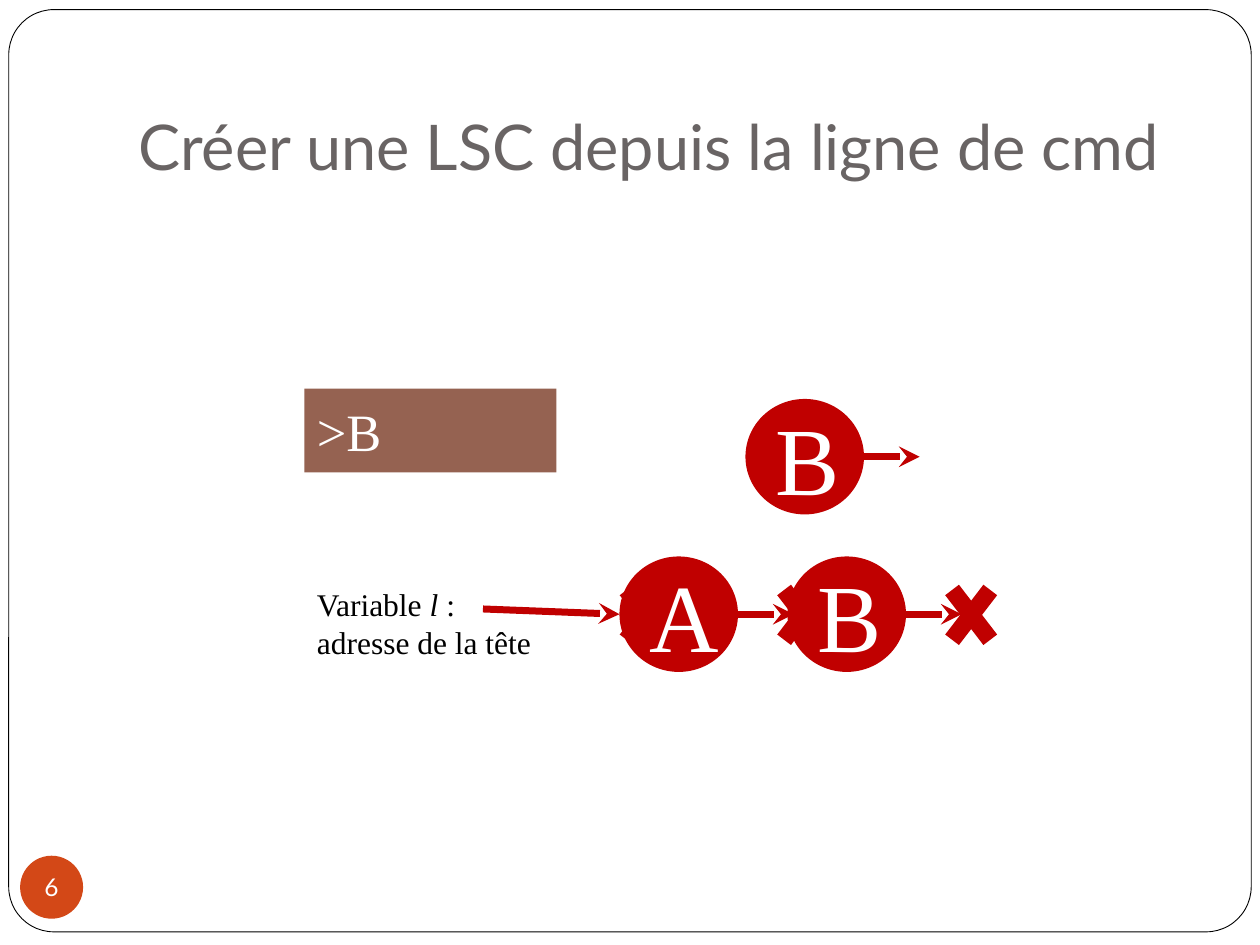
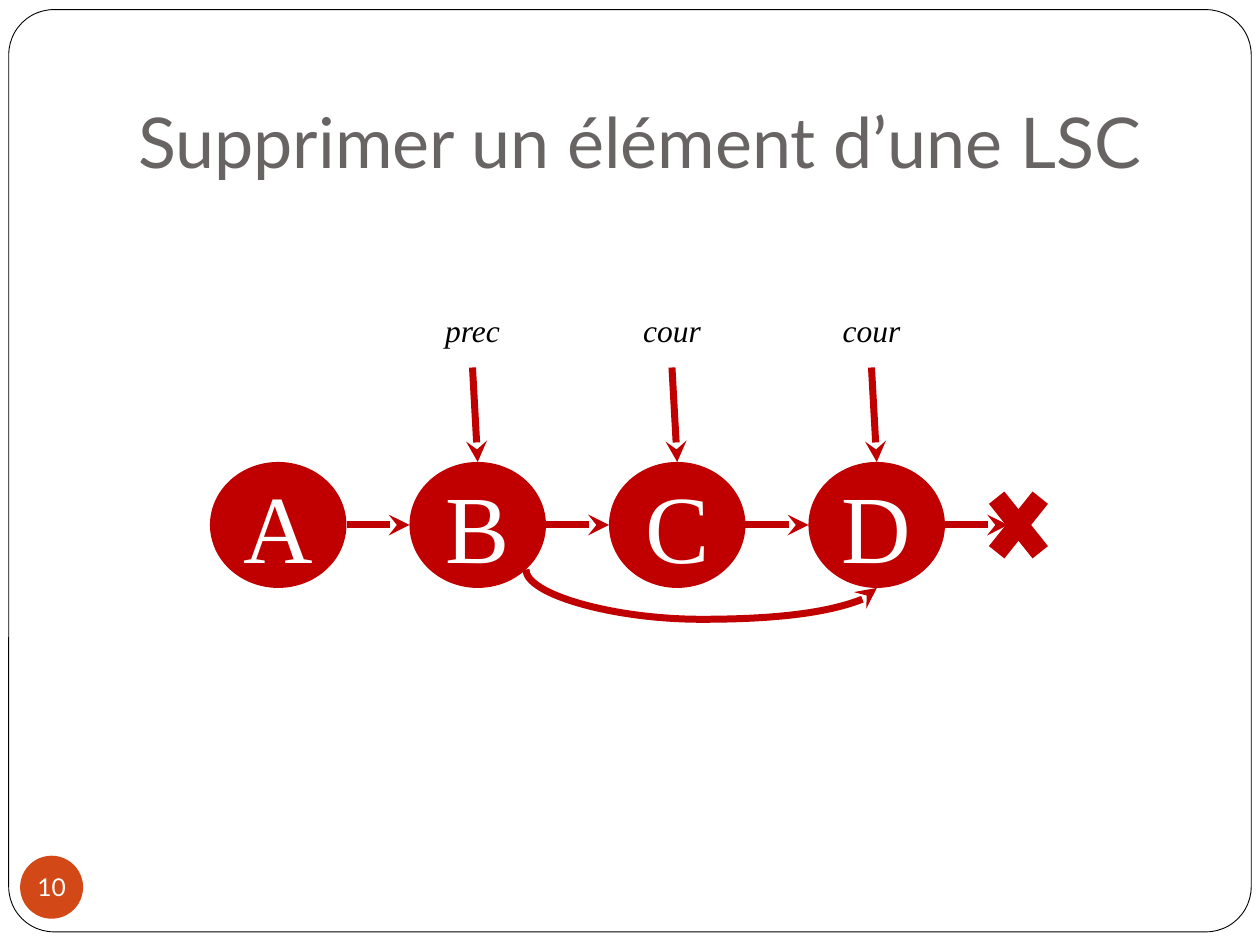
from lxml import etree
from pptx import Presentation
from pptx.dml.color import RGBColor
from pptx.enum.shapes import MSO_CONNECTOR, MSO_SHAPE
from pptx.enum.text import MSO_ANCHOR, MSO_AUTO_SIZE, PP_ALIGN
from pptx.oxml.ns import qn
from pptx.util import Pt

WHITE = RGBColor(0xFF, 0xFF, 0xFF)
BLACK = RGBColor(0x00, 0x00, 0x00)
RED = RGBColor(0xC0, 0x00, 0x00)
BROWN = RGBColor(0x95, 0x62, 0x51)
ORANGE = RGBColor(0xD3, 0x48, 0x17)
GREY = RGBColor(0x69, 0x64, 0x64)

TITLE_FONT = "Lato"
BODY_FONT = "Times New Roman"
STRAIGHT, CURVE = MSO_CONNECTOR.STRAIGHT, MSO_CONNECTOR.CURVE
RECTANGLE, ROUNDED = MSO_SHAPE.RECTANGLE, MSO_SHAPE.ROUNDED_RECTANGLE
OVAL, MULTIPLY = MSO_SHAPE.OVAL, MSO_SHAPE.MATH_MULTIPLY
MIDDLE, BOTTOM = MSO_ANCHOR.MIDDLE, MSO_ANCHOR.BOTTOM
LEFT, CENTER = PP_ALIGN.LEFT, PP_ALIGN.CENTER
FIT_SHAPE = MSO_AUTO_SIZE.SHAPE_TO_FIT_TEXT


def style_text(frame, size, font, color, align=LEFT, italic=False):
    """Give every paragraph and run of a frame the same look."""
    for para in frame.paragraphs:
        para.alignment = align
        for span in para.runs:
            span.font.size = Pt(size)
            span.font.name = font
            span.font.color.rgb = color
            span.font.italic = italic


def add_block(page, kind, left, top, width, height, fill):
    """Add a filled preset shape without outline or shadow."""
    block = page.shapes.add_shape(kind, Pt(left), Pt(top), Pt(width), Pt(height))
    block.shadow.inherit = False
    block.fill.solid()
    block.fill.fore_color.rgb = fill
    block.line.fill.background()
    return block


def write_inside(block, text, size, font, align=CENTER):
    """Write white text in the middle of a shape."""
    frame = block.text_frame
    frame.text = text
    frame.vertical_anchor = MIDDLE
    style_text(frame, size, font, WHITE, align)


def add_text(page, left, top, width, height, text):
    """Add an empty-styled wrapping text box and return its frame."""
    box = page.shapes.add_textbox(Pt(left), Pt(top), Pt(width), Pt(height))
    frame = box.text_frame
    frame.word_wrap = True
    frame.text = text
    return frame


def add_arrow(page, start, end, kind=STRAIGHT):
    """Add a red connector with a stealth head at its end."""
    x1, y1, x2, y2 = (Pt(value) for value in (*start, *end))
    arrow = page.shapes.add_connector(kind, x1, y1, x2, y2)
    arrow.line.width = Pt(4)
    arrow.line.color.rgb = RED
    outline = arrow.line._get_or_add_ln()
    etree.SubElement(outline, qn("a:tailEnd"), type="stealth")
    etree.SubElement(arrow._element.spPr, qn("a:effectLst"))
    return arrow


def add_bypass(page, start, end, bulge):
    """Add a curve that leaves downwards and returns upwards to its end."""
    (x1, y1), (x2, y2) = start, end
    middle_x, middle_y = (x1 + x2) / 2, (y1 + y2) / 2
    half_width, half_height = (y2 - y1) / 2, (x2 - x1) / 2
    curve = add_arrow(
        page,
        (middle_x + half_width, middle_y - half_height),
        (middle_x - half_width, middle_y + half_height),
        CURVE,
    )
    properties = curve._element.spPr
    properties.find(qn("a:xfrm")).set("rot", str(270 * 60000))
    guides = properties.find(qn("a:prstGeom")).get_or_add_avLst()
    etree.SubElement(guides, qn("a:gd"), name="adj1",
                     fmla=f"val {round(bulge * 100000)}")


def add_node(page, letter, left, top, width, height, reach, kind=STRAIGHT):
    """Add a list cell: a lettered circle and the arrow to its successor."""
    circle = add_block(page, OVAL, left, top, width, height, RED)
    write_inside(circle, letter, 55, BODY_FONT)
    right, middle = left + width, top + height / 2
    add_arrow(page, (right, middle), (right + reach, middle), kind)


def add_page(deck, title, title_size, number):
    """Add a page with the shared frame, title and number badge."""
    page = deck.slides.add_slide(deck.slide_layouts[6])
    frame = add_block(page, ROUNDED, 5, 5.5, 710, 527, WHITE)
    frame.adjustments[0] = 0.049
    frame.line.color.rgb = BLACK
    frame.line.width = Pt(0.5)

    heading = add_text(page, 72, 21.6, 612, 90, title)
    heading.vertical_anchor = BOTTOM
    heading.margin_bottom = Pt(7.2)
    style_text(heading, title_size, TITLE_FONT, GREY)

    badge = add_block(page, OVAL, 11.5, 489, 36, 36, ORANGE)
    inside = badge.text_frame
    inside.margin_left = inside.margin_right = 0
    inside.margin_top = inside.margin_bottom = 0
    inside.word_wrap = False
    write_inside(badge, str(number), 14, TITLE_FONT)
    return page


def build_creation(deck):
    """Build the page on creating a list from the command line."""
    page = add_page(deck, "Créer une LSC depuis la ligne de cmd", 36, 6)
    node_size = (67.75, 66, 31.75)
    cross_size = (42, 54.75)

    add_block(page, MULTIPLY, 348, 324, *cross_size, RED)
    add_arrow(page, (276, 348), (354, 351))

    caption = add_text(page, 174, 331, 156, 51, "")
    first, second = caption.paragraphs[0], caption.add_paragraph()
    for words in ("Variable ", "l", " :"):
        first.add_run().text = words
    second.text = "adresse de la tête"
    style_text(caption, 18, BODY_FONT, BLACK)
    first.runs[1].font.italic = True
    caption.auto_size = FIT_SHAPE

    add_node(page, "A", 354, 318, *node_size)
    add_block(page, MULTIPLY, 438, 324, *cross_size, RED)
    prompt = add_block(page, RECTANGLE, 174, 222, 144, 48, BROWN)
    write_inside(prompt, ">B", 30, BODY_FONT, LEFT)
    add_node(page, "B", 426, 228, *node_size)
    add_node(page, "B", 450, 318, *node_size)
    add_block(page, MULTIPLY, 534, 324, *cross_size, RED)


def build_removal(deck):
    """Build the page on removing an element from a list."""
    page = add_page(deck, "Supprimer un élément d’une LSC", 40, 10)
    width, height, reach, top = 78, 72, 36, 264
    cells = [("A", None, STRAIGHT), ("B", "prec", CURVE),
             ("C", "cour", STRAIGHT), ("D", "cour", STRAIGHT)]

    for index, (letter, pointer, kind) in enumerate(cells):
        left = 120 + index * (width + reach)
        add_node(page, letter, left, top, width, height, reach, kind)
        if pointer:
            center = left + width / 2
            add_arrow(page, (center - 3, 210), (center, top))
            label = add_text(page, left - 6, 174, 84, 29, pointer)
            style_text(label, 18, BODY_FONT, BLACK, CENTER, italic=True)
            label.auto_size = FIT_SHAPE

    add_block(page, MULTIPLY, 558, 270, 48, 60, RED)
    add_bypass(page, (300.5, 325.5), (501, top + height), 2.71)


def main():
    """Build and save the deck."""
    deck = Presentation()
    deck.slide_width, deck.slide_height = Pt(720), Pt(540)
    build_creation(deck)
    build_removal(deck)
    deck.save("out.pptx")


main()
